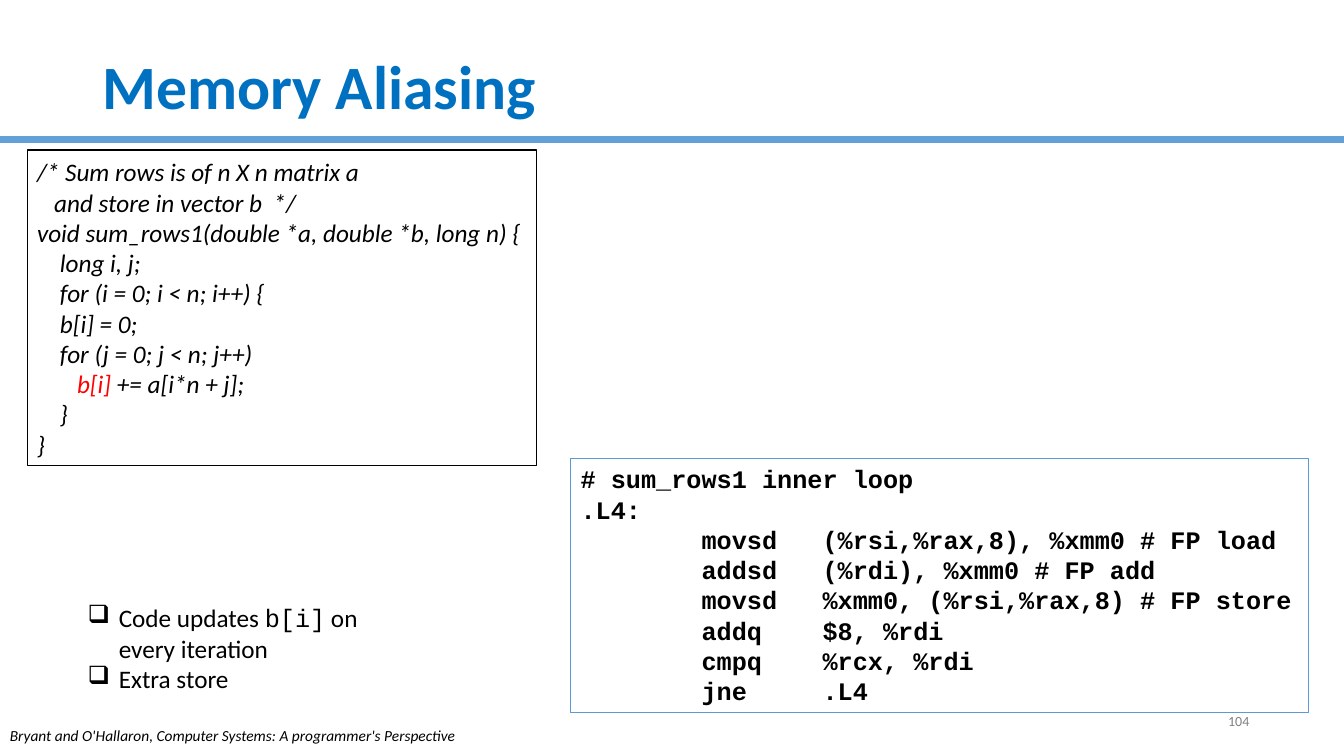
from lxml.etree import SubElement
from pptx import Presentation
from pptx.dml.color import RGBColor
from pptx.enum.shapes import MSO_CONNECTOR, MSO_SHAPE
from pptx.enum.text import MSO_ANCHOR, MSO_AUTO_SIZE, PP_ALIGN
from pptx.oxml.ns import qn
from pptx.util import Inches, Pt

SUM_ROWS = [
    "/* Sum rows is of n X n matrix a",
    "   and store in vector b  */",
    "void sum_rows1(double *a, double *b, long n) {",
    "    long i, j;",
    "    for (i = 0; i < n; i++) {",
    "    b[i] = 0;",
    "    for (j = 0; j < n; j++)",
    ["       ", ("b[i] ", {"color": "FF0000"}), "+= a[i*n + j];"],
    "    }",
    "}",
]
INNER_LOOP = [
    "# sum_rows1 inner loop",
    ".L4:",
    "        movsd   (%rsi,%rax,8), %xmm0 # FP load",
    "        addsd   (%rdi), %xmm0 # FP add",
    "        movsd   %xmm0, (%rsi,%rax,8) # FP store",
    "        addq    $8, %rdi",
    "        cmpq    %rcx, %rdi",
    "        jne     .L4",
]
REMARKS = [
    ["Code updates ", ("b[i]", {"font": "Courier New"}), " on every iteration"],
    "Extra store",
]


def rgb(value):
    return RGBColor.from_string(value)


def add_span(para, text, font="Calibri", size=18, color="000000", bold=False, italic=False):
    span = para.add_run()
    span.text = text
    span.font.name = font
    span.font.size = Pt(size)
    span.font.color.rgb = rgb(color)
    span.font.bold = bold
    span.font.italic = italic


class SlideBuilder:
    def __init__(self, deck):
        self.page = deck.slides.add_slide(deck.slide_layouts[6])

    def fill_text(self, box, lines, anchor=MSO_ANCHOR.TOP, align=PP_ALIGN.LEFT, wrap=True,
                  grow=True, bullet=None, spacing=None, **style):
        frame = box.text_frame
        frame.word_wrap = wrap
        frame.vertical_anchor = anchor
        frame.auto_size = MSO_AUTO_SIZE.SHAPE_TO_FIT_TEXT if grow else MSO_AUTO_SIZE.NONE
        for index, line in enumerate(lines):
            para = frame.add_paragraph() if index else frame.paragraphs[0]
            para.alignment = align
            if spacing:
                para.line_spacing = spacing
            if bullet:
                properties = para._p.get_or_add_pPr()
                properties.set("marL", str(Inches(0.81)))
                properties.set("indent", str(Inches(-0.31)))
                SubElement(properties, qn("a:buChar")).set("char", bullet)
            for part in [line] if isinstance(line, str) else line:
                text, changes = (part, {}) if isinstance(part, str) else part
                add_span(para, text, **{**style, **changes})

    def text(self, left, top, width, height, lines, **options):
        box = self.page.shapes.add_textbox(
            Inches(left), Inches(top), Inches(width), Inches(height))
        self.fill_text(box, lines, **options)

    def code(self, left, top, width, height, lines, border, weight, **options):
        box = self.page.shapes.add_shape(
            MSO_SHAPE.RECTANGLE, Inches(left), Inches(top), Inches(width), Inches(height))
        box.shadow.inherit = False
        box.fill.background()
        box.line.color.rgb = rgb(border)
        box.line.width = Pt(weight)
        self.fill_text(box, lines, **options)

    def rule(self, top, width, color, weight):
        line = self.page.shapes.add_connector(
            MSO_CONNECTOR.STRAIGHT, Inches(width), Inches(top), Inches(0), Inches(top))
        line.line.color.rgb = rgb(color)
        line.line.width = Pt(weight)
        SubElement(line._element.spPr, qn("a:effectLst"))


def main():
    deck = Presentation()
    deck.slide_width, deck.slide_height = Inches(13.33), Inches(7.5)
    slide = SlideBuilder(deck)

    # Title, rule and page number
    slide.rule(1.38, 13.33, "63A0D7", 5)
    slide.text(0.92, 0.4, 11.5, 0.98, ["Memory Aliasing"], anchor=MSO_ANCHOR.MIDDLE,
               grow=False, spacing=0.9, size=44, color="0070C0", bold=True)
    slide.text(9.49, 6.95, 3, 0.4, ["104"], anchor=MSO_ANCHOR.MIDDLE,
               align=PP_ALIGN.RIGHT, grow=False, size=10, color="808080")

    # Assembly, remarks and citation
    slide.code(5.66, 4.55, 7.32, 2.52, INNER_LOOP, "5B9BD5", 0.75,
               font="Courier New", bold=True)
    slide.text(0.27, 5.93, 3.54, 1.01, REMARKS, bullet="❑")
    slide.text(0, 7.15, 4.63, 0.29,
               ["Bryant and O'Hallaron, Computer Systems: A programmer's Perspective"],
               size=11, italic=True)

    # C function
    slide.code(0.27, 1.49, 5.05, 3.13, SUM_ROWS, "000000", 1,
               anchor=MSO_ANCHOR.MIDDLE, wrap=False, italic=True)

    deck.save("out.pptx")


if __name__ == "__main__":
    main()
